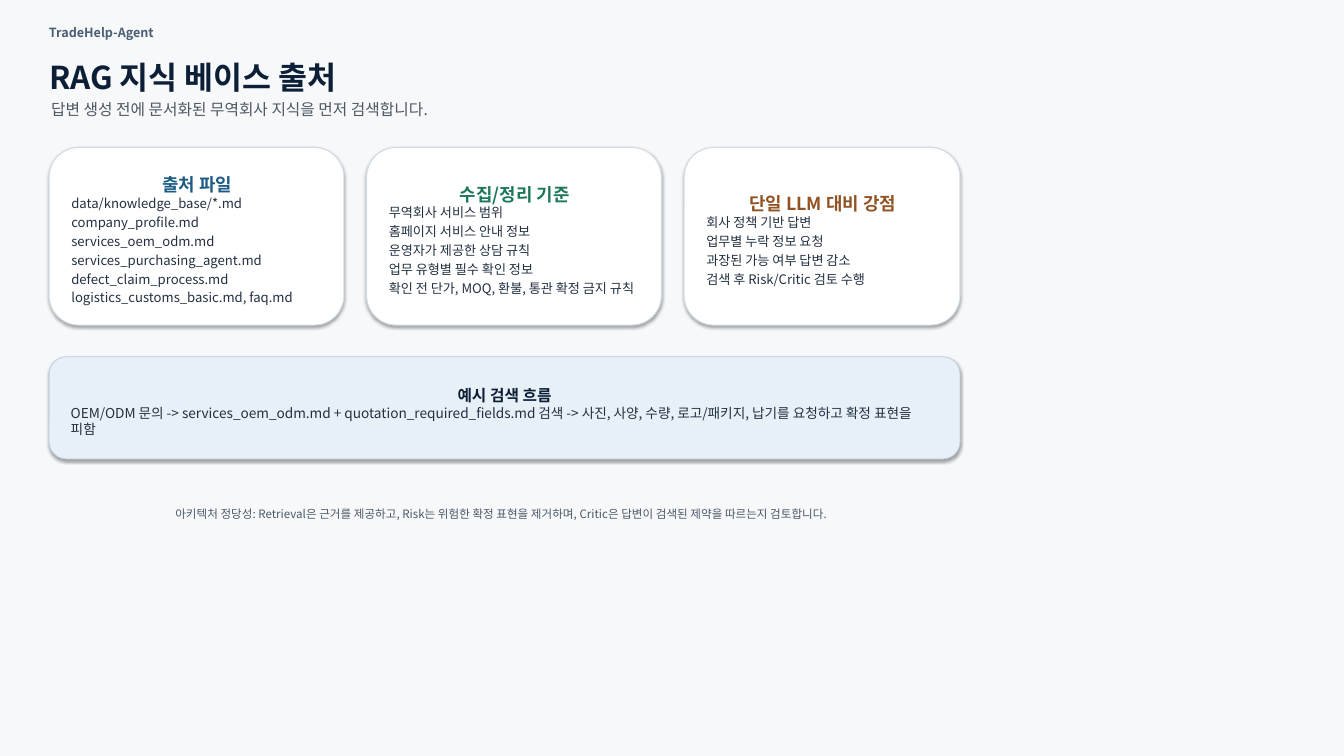
from pptx import Presentation
from pptx.dml.color import RGBColor
from pptx.enum.shapes import MSO_SHAPE as Shape
from pptx.enum.text import MSO_ANCHOR as Anchor, MSO_AUTO_SIZE as AutoSize, PP_ALIGN as Align
from pptx.util import Inches, Pt

HEADER = "TradeHelp-Agent"
TITLE = "RAG 지식 베이스 출처"
SUBTITLE = "답변 생성 전에 문서화된 무역회사 지식을 먼저 검색합니다."
CARDS = [
    ("출처 파일", "source", 3.9, [
        "data/knowledge_base/*.md",
        "company_profile.md",
        "services_oem_odm.md",
        "services_purchasing_agent.md",
        "defect_claim_process.md",
        "logistics_customs_basic.md, faq.md",
    ]),
    ("수집/정리 기준", "criteria", 3.9, [
        "무역회사 서비스 범위",
        "홈페이지 서비스 안내 정보",
        "운영자가 제공한 상담 규칙",
        "업무 유형별 필수 확인 정보",
        "확인 전 단가, MOQ, 환불, 통관 확정 금지 규칙",
    ]),
    ("단일 LLM 대비 강점", "strength", 3.65, [
        "회사 정책 기반 답변",
        "업무별 누락 정보 요청",
        "과장된 가능 여부 답변 감소",
        "검색 후 Risk/Critic 검토 수행",
    ]),
]
FLOW_HEADING = "예시 검색 흐름"
FLOW = ("OEM/ODM 문의 -> services_oem_odm.md + quotation_required_fields.md 검색 -> "
        "사진, 사양, 수량, 로고/패키지, 납기를 요청하고 확정 표현을 피함")
FOOTNOTE = ("아키텍처 정당성: Retrieval은 근거를 제공하고, Risk는 위험한 확정 표현을 제거하며, "
            "Critic은 답변이 검색된 제약을 따르는지 검토합니다.")

THEME = {
    "font": "Noto Sans CJK KR",
    "colors": {
        "background": "F6F8FA", "header": "4B5E73", "title": "0C1F36",
        "subtitle": "505863", "body": "233041", "footnote": "4B5866",
        "source": "1C5B84", "criteria": "1D785A", "strength": "925324",
        "card": "FFFFFF", "card_line": "D2DCE6",
        "flow": "E8F0F7", "flow_line": "BECFDE",
    },
    "sizes": {"header": 12, "title": 30, "subtitle": 15, "card_heading": 17,
              "card_body": 12.5, "flow_heading": 15, "flow_body": 13, "footnote": 11},
}
LEFT, CARD_TOP, CARD_HEIGHT, GAP = 0.65, 1.95, 2.35, 0.3
FLOW_TOP, FLOW_HEIGHT = 4.72, 1.35


def color(name):
    return RGBColor.from_string(THEME["colors"][name])


def write(paragraph, text, size, tint, bold=False, align=Align.LEFT):
    paragraph.text = text
    paragraph.alignment = align
    font = paragraph.font if not paragraph.runs else paragraph.runs[0].font
    formats = {"name": THEME["font"], "size": Pt(THEME["sizes"][size]), "bold": bold}
    for key, value in formats.items():
        setattr(font, key, value)
    font.color.rgb = color(tint)


def set_line(holder, text, box, role, bold=False, align=Align.LEFT):
    """Place a single unwrapped line of text in a box that grows with it."""
    for key, value in zip(("left", "top", "width", "height"), box):
        setattr(holder, key, Inches(value))
    frame = holder.text_frame
    formats = {"word_wrap": False, "auto_size": AutoSize.SHAPE_TO_FIT_TEXT,
               "vertical_anchor": Anchor.TOP}
    for key, value in formats.items():
        setattr(frame, key, value)
    write(frame.paragraphs[0], text, role, role, bold, align)


def add_panel(slide, box, kind, line_width, heading, tint, body, side_insets, space_after):
    """Add a rounded panel; it keeps the soft shadow of the deck's theme."""
    panel = slide.shapes.add_shape(Shape.ROUNDED_RECTANGLE, *map(Inches, box))
    panel.fill.solid()
    panel.fill.fore_color.rgb = color(kind)
    panel.line.color.rgb = color(f"{kind}_line")
    panel.line.width = Pt(line_width)

    frame = panel.text_frame
    left, right = side_insets
    formats = {"margin_left": Inches(left), "margin_right": Inches(right),
               "margin_top": Inches(0.14), "margin_bottom": Inches(0.05),
               "word_wrap": True, "vertical_anchor": Anchor.MIDDLE}
    for key, value in formats.items():
        setattr(frame, key, value)

    write(frame.paragraphs[0], heading, f"{kind}_heading", tint, True, Align.CENTER)
    for entry in body:
        paragraph = frame.add_paragraph()
        write(paragraph, entry, f"{kind}_body", "body")
        paragraph.space_after = Pt(space_after)


def main():
    deck = Presentation()
    deck.slide_width, deck.slide_height = Inches(17.78), Inches(10)
    slide = deck.slides.add_slide(deck.slide_layouts[5])
    slide.background.fill.solid()
    slide.background.fill.fore_color.rgb = color("background")

    set_line(slide.shapes.title, TITLE, (0.55, 0.72, 12.2, 0.52), "title", bold=True)
    for text, box, role, bold, align in [
        (HEADER, (0.55, 0.28, 12.3, 0.35), "header", True, Align.LEFT),
        (SUBTITLE, (0.58, 1.27, 12, 0.4), "subtitle", False, Align.LEFT),
        (FOOTNOTE, (0.68, 6.65, 11.9, 0.28), "footnote", False, Align.CENTER),
    ]:
        holder = slide.shapes.add_textbox(*map(Inches, box))
        set_line(holder, text, box, role, bold, align)

    left = LEFT
    for heading, tint, width, entries in CARDS:
        add_panel(slide, (left, CARD_TOP, width, CARD_HEIGHT), "card", 1,
                  heading, tint, entries, (0.18, 0.16), 3)
        left += width + GAP

    flow_width = left - GAP - LEFT
    add_panel(slide, (LEFT, FLOW_TOP, flow_width, FLOW_HEIGHT), "flow", 0.75,
              FLOW_HEADING, "title", [FLOW], (0.22, 0.22), 0)

    deck.save("out.pptx")


if __name__ == "__main__":
    main()
